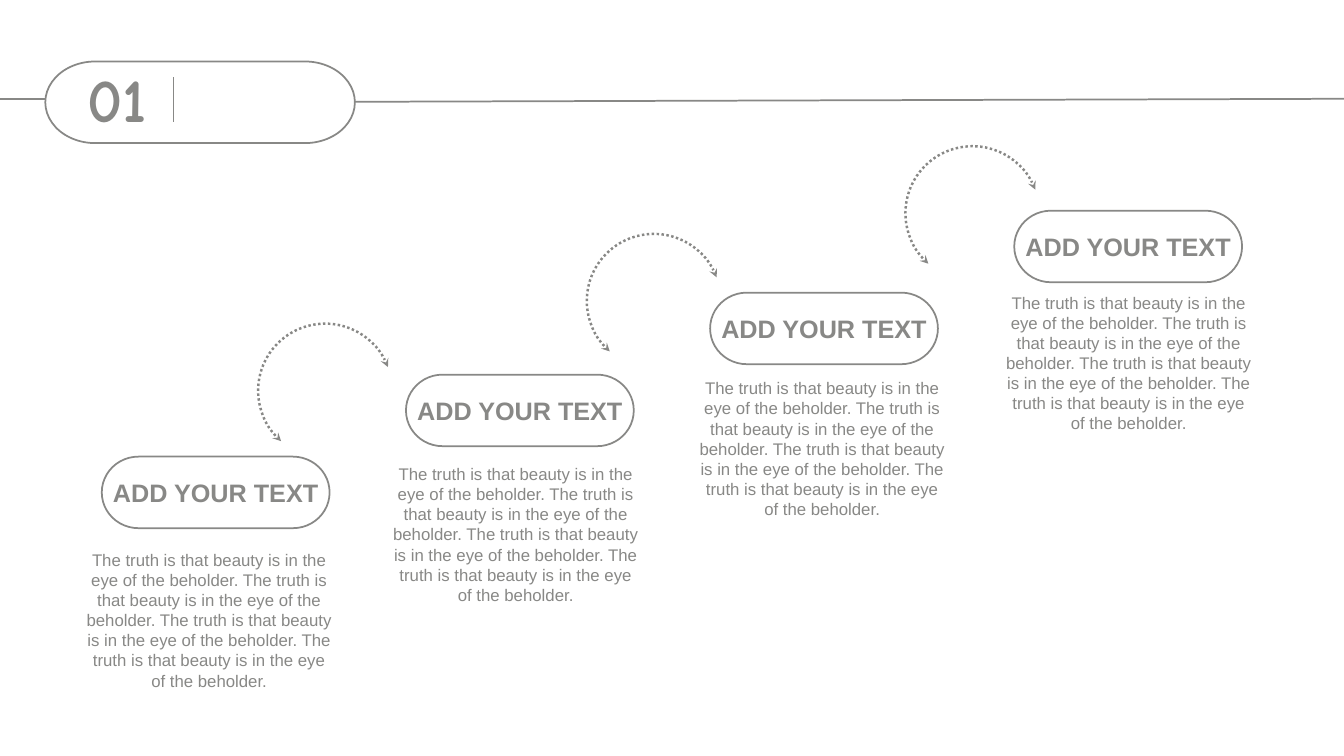
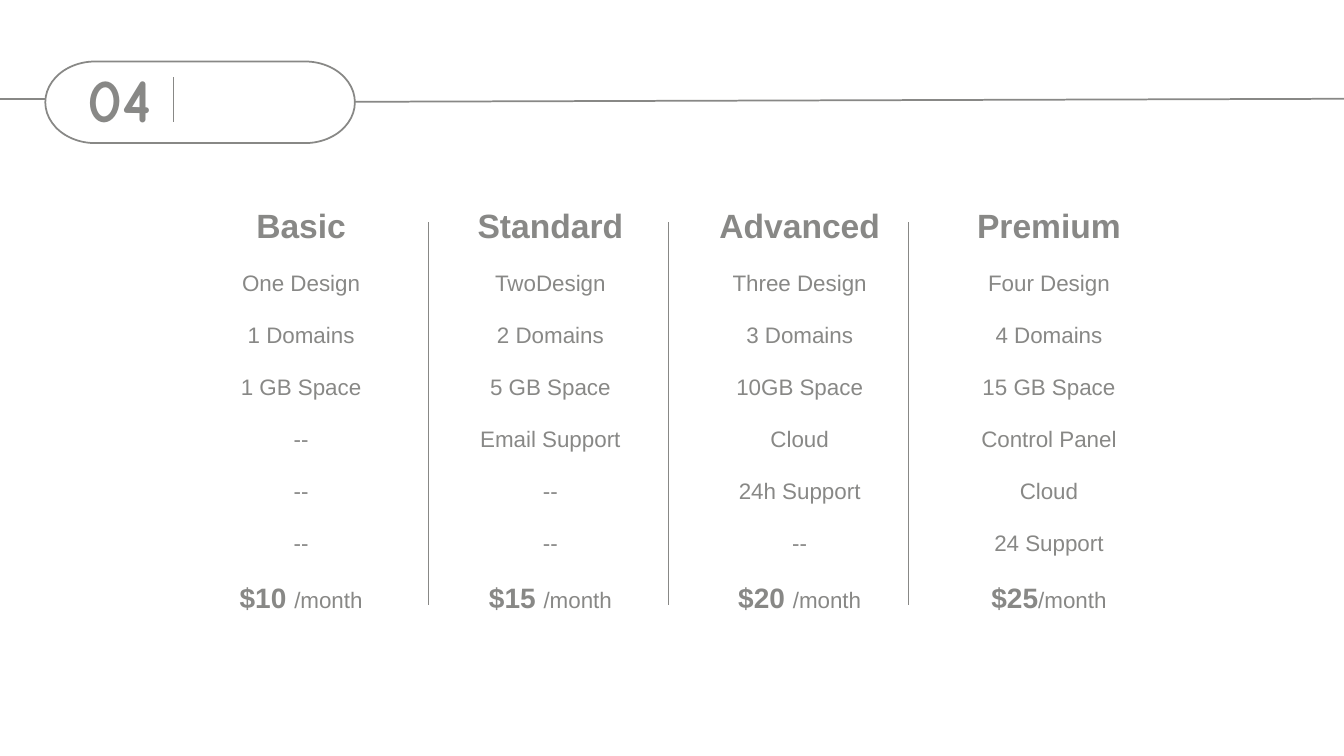
from dataclasses import dataclass

from pptx import Presentation
from pptx.dml.color import RGBColor
from pptx.enum.dml import MSO_LINE
from pptx.enum.shapes import MSO_CONNECTOR, MSO_SHAPE
from pptx.enum.text import MSO_ANCHOR, MSO_AUTO_SIZE, PP_ALIGN
from pptx.oxml.ns import qn
from pptx.util import Inches, Pt
from lxml import etree

PILL, ARC = MSO_SHAPE.FLOWCHART_TERMINATOR, MSO_SHAPE.ARC
STRAIGHT = MSO_CONNECTOR.STRAIGHT
DOTTED = MSO_LINE.ROUND_DOT
LEFT, CENTER = PP_ALIGN.LEFT, PP_ALIGN.CENTER
MIDDLE = MSO_ANCHOR.MIDDLE
GROW = MSO_AUTO_SIZE.SHAPE_TO_FIT_TEXT


@dataclass(frozen=True)
class Theme:
    gray: RGBColor = RGBColor(0x88, 0x88, 0x86)
    font: str = "Arial"
    number_font: str = "Comic Neue"
    number: int = 44
    plan: int = 24
    price: int = 20
    label: int = 18
    feature: int = 16
    body: int = 12
    line: float = 1.25
    arc: float = 1.75


THEME = Theme()

# Staircase content
LABEL = "ADD YOUR TEXT"
BODY = " ".join(["The truth is that beauty is in the eye of the beholder."] * 4)
ARC_CORNERS = [(2.56, 3.21), (5.82, 2.32), (8.98, 1.45)]

# Pricing content: plan, features, price, unit
PLANS = [
    ("Basic", ["One Design", "1 Domains", "1 GB Space", "--", "--", "--"], "$10 "),
    ("Standard", ["TwoDesign", "2 Domains", "5 GB Space", "Email Support", "--", "--"], "$15 "),
    ("Advanced", ["Three Design", "3 Domains", "10GB Space", "Cloud", "24h Support", "--"], "$20 "),
    ("Premium", ["Four Design", "4 Domains", "15 GB Space", "Control Panel", "Cloud", "24 Support"], "$25"),
]
PRICE_UNIT = "/month"


# Basic elements
def style_font(font, size, bold=False, name=THEME.font):
    font.name = name
    font.size = Pt(size)
    font.bold = bold
    font.color.rgb = THEME.gray


def write(para, text, size, bold=False, name=THEME.font, align=CENTER):
    para.text = text
    para.alignment = align
    style_font(para.font, size, bold, name)


def add_line(page, x1, y1, x2, y2):
    line = page.shapes.add_connector(STRAIGHT, Inches(x1), Inches(y1), Inches(x2), Inches(y2))
    line.line.color.rgb = THEME.gray
    line.line.width = Pt(THEME.line)
    etree.SubElement(line.element.spPr, qn("a:effectLst"))
    return line


def add_outline(page, kind, left, top, width, height, weight=THEME.line):
    shape = page.shapes.add_shape(kind, Inches(left), Inches(top), Inches(width), Inches(height))
    shape.shadow.inherit = False
    shape.fill.background()
    shape.line.color.rgb = THEME.gray
    shape.line.width = Pt(weight)
    return shape


def add_text(page, left, top, width, height, text, size, **style):
    box = page.shapes.add_textbox(Inches(left), Inches(top), Inches(width), Inches(height))
    frame = box.text_frame
    frame.word_wrap = True
    frame.auto_size = GROW
    write(frame.paragraphs[0], text, size, **style)


def add_label_pill(page, left, top):
    pill = add_outline(page, PILL, left, top, 2.26, 0.71)
    frame = pill.text_frame
    frame.word_wrap = False
    frame.vertical_anchor = MIDDLE
    write(frame.paragraphs[0], LABEL, THEME.label, bold=True)


def add_arc_arrow(page, left, top):
    arc = add_outline(page, ARC, left, top, 1.33, 1.33, THEME.arc)
    arc.adjustments[0] = 162
    arc.adjustments[1] = 70.97
    arc.rotation = 221.1
    arc.line.dash_style = DOTTED
    for end in ("a:headEnd", "a:tailEnd"):
        etree.SubElement(arc.get_or_add_ln(), qn(end)).set("type", "stealth")


# Shared parts
def move_header_to_layout(page):
    """Draw the header band and hand it to the layout, for all pages."""
    parts = [
        add_line(page, 3.52, 1.01, 13.33, 0.98),
        add_outline(page, PILL, 0.45, 0.61, 3.07, 0.81),
        add_line(page, 0, 0.98, 0.45, 0.98),
        add_line(page, 1.72, 1.21, 1.72, 0.76),
    ]
    for part in parts:
        page.slide_layout.shapes.element.append(part.element)


def add_number(page, text):
    add_text(page, 0.77, 0.56, 1.14, 0.84, text, THEME.number,
             bold=True, name=THEME.number_font, align=LEFT)


# Pages
def fill_staircase(page):
    for step in range(4):
        add_label_pill(page, 1.01 + step * 9.05 / 3, 4.53 - step * 2.44 / 3)
        add_text(page, 0.75 + step * 3.04, 5.4 - step * 0.85, 2.65, 1.51, BODY, THEME.body)
    for left, top in ARC_CORNERS:
        add_arc_arrow(page, left, top)
    add_number(page, "01")


def write_price(para, price):
    para.alignment = CENTER
    for text, size, bold in ((price, THEME.price, True), (PRICE_UNIT, THEME.feature, False)):
        span = para.add_run()
        span.text = text
        style_font(span.font, size, bold)


def fill_pricing(page):
    features_height = 3.09
    feature_count = len(PLANS[0][1])
    heights = [0.62] + [features_height / feature_count] * feature_count + [0.58]
    grid = page.shapes.add_table(len(heights), len(PLANS), Inches(1.75), Inches(1.94),
                                 Inches(9.89), Inches(sum(heights))).table
    grid.first_row = False
    grid.horz_banding = False
    for row, height in zip(grid.rows, heights):
        row.height = Inches(height)
    for cell in grid.iter_cells():
        cell.fill.background()
        cell.vertical_anchor = MIDDLE

    for column, (plan, features, price) in enumerate(PLANS):
        paras = [grid.cell(row, column).text_frame.paragraphs[0] for row in range(len(heights))]
        write(paras[0], plan, THEME.plan, bold=True)
        for para, feature in zip(paras[1:-1], features):
            write(para, feature, THEME.feature)
        write_price(paras[-1], price)

    # Column dividers
    for divider in range(len(PLANS) - 1):
        x = 4.25 + divider * 2.38
        add_line(page, x, 6, x, 2.2)
    add_number(page, "04")


def main():
    deck = Presentation()
    deck.slide_width = Inches(13.33)
    deck.slide_height = Inches(7.5)
    blank = deck.slide_layouts[6]
    staircase, pricing = (deck.slides.add_slide(blank) for _ in range(2))
    move_header_to_layout(staircase)
    fill_staircase(staircase)
    fill_pricing(pricing)
    deck.save("out.pptx")


if __name__ == "__main__":
    main()
